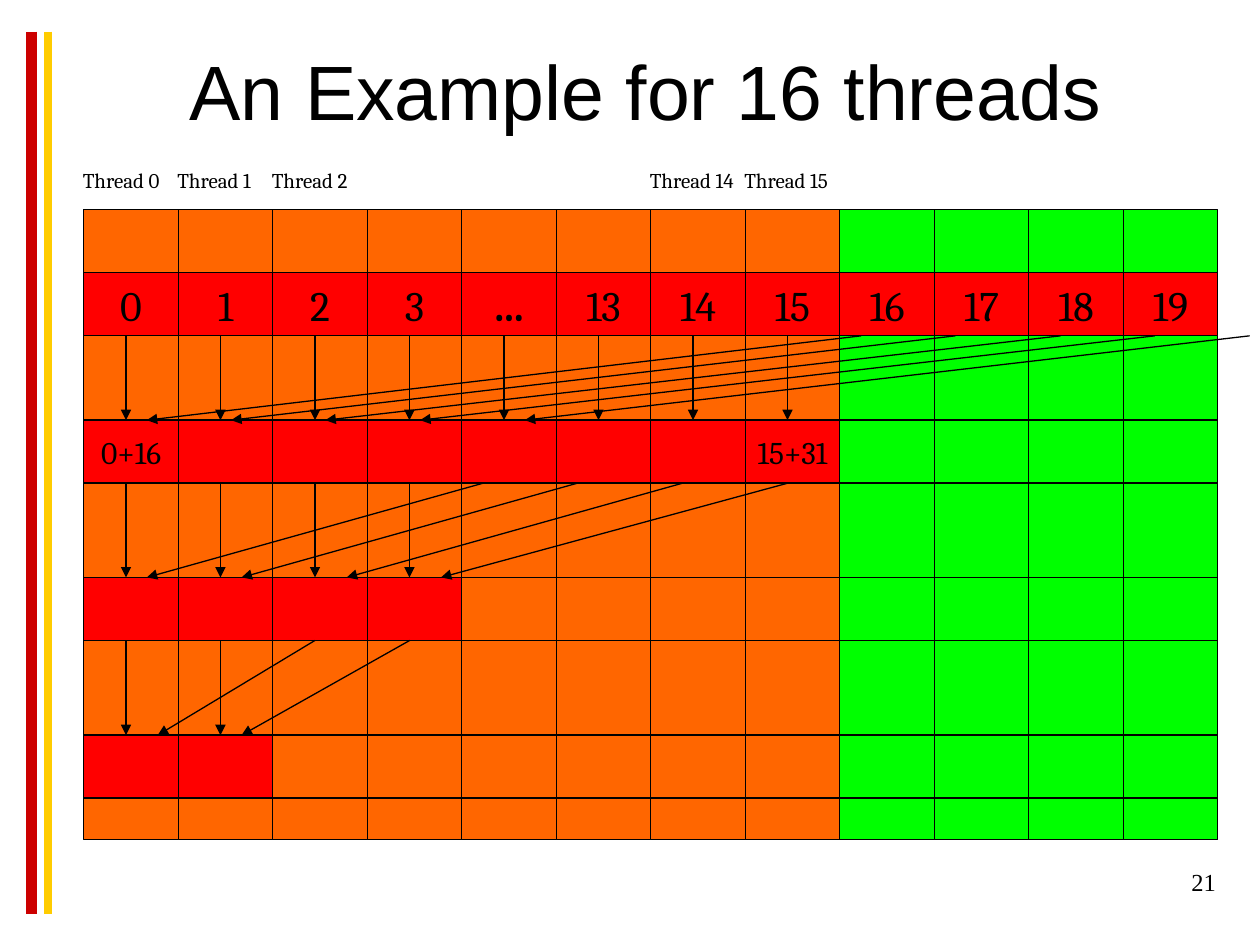
from lxml.etree import SubElement
from pptx import Presentation
from pptx.dml.color import RGBColor
from pptx.enum.shapes import MSO_CONNECTOR, MSO_SHAPE
from pptx.enum.text import MSO_ANCHOR, MSO_AUTO_SIZE, PP_ALIGN
from pptx.oxml.ns import qn
from pptx.util import Cm, Pt

BLACK = RGBColor(0x00, 0x00, 0x00)
RED = RGBColor(0xFF, 0x00, 0x00)
ORANGE = RGBColor(0xFF, 0x66, 0x00)
GREEN = RGBColor(0x00, 0xFF, 0x00)
DARK_RED = RGBColor(0xCC, 0x00, 0x00)
YELLOW = RGBColor(0xFF, 0xCC, 0x00)

COLUMNS = 12
THREAD_COLUMNS = 8
GRID_LEFT = 1.69
GRID_TOP = 4.23
GRID_HEIGHT = 12.7
COLUMN_WIDTH = 22.86 / COLUMNS
ROW_HEIGHT = 1.27
ARROW_INSET = 0.85

ROW_TOPS = [5.5, 8.47, 11.64, 14.82]
ROW_FILLED = [12, 8, 4, 2]
ROW_LABELS = [
    dict(enumerate(["0", "1", "2", "3", "…", "13", "14", "15", "16", "17", "18", "19"])),
    {0: "0+16", 7: "15+31"},
    {},
    {},
]
ROW_TEXT_SIZES = [24, 18, 18, 18]
DIAGONALS = [
    [(17.36, 2.96), (19.26, 4.66), (21.38, 6.56), (23.28, 8.47), (25.19, 10.58)],
    [(9.74, 2.96), (11.64, 4.87), (13.76, 6.99), (15.88, 8.89)],
    [(6.35, 3.18), (8.26, 4.87)],
]
THREADS = {0: "Thread 0", 1: "Thread 1", 2: "Thread 2", 6: "Thread 14", 7: "Thread 15"}


def column_left(column):
    return GRID_LEFT + column * COLUMN_WIDTH


def write_text(shape, text, *, size, font="Cambria", bold=False,
               align=PP_ALIGN.LEFT, anchor=MSO_ANCHOR.TOP, wrap=False):
    frame = shape.text_frame
    frame.word_wrap = wrap
    frame.vertical_anchor = anchor
    paragraph = frame.paragraphs[0]
    paragraph.alignment = align
    run = paragraph.add_run()
    run.text = text
    run.font.name = font
    run.font.size = Pt(size)
    run.font.bold = bold
    run.font.color.rgb = BLACK


def add_text_box(slide, text, left, top, width, height, **text_format):
    box = slide.shapes.add_textbox(Cm(left), Cm(top), Cm(width), Cm(height))
    write_text(box, text, **text_format)
    return box


def add_cell(slide, column, top, height, color=None):
    shape = slide.shapes.add_shape(
        MSO_SHAPE.RECTANGLE, Cm(column_left(column)), Cm(top), Cm(COLUMN_WIDTH), Cm(height))
    shape.shadow.inherit = False
    if color is None:
        shape.fill.background()
    else:
        shape.fill.solid()
        shape.fill.fore_color.rgb = color
    shape.line.color.rgb = BLACK
    shape.line.width = Pt(0.75)
    return shape


def add_line(slide, start, end, color=BLACK, width=0.75, arrow=False):
    line = slide.shapes.add_connector(
        MSO_CONNECTOR.STRAIGHT, Cm(start[0]), Cm(start[1]), Cm(end[0]), Cm(end[1]))
    line.line.color.rgb = color
    line.line.width = Pt(width)
    if arrow:
        SubElement(line.line._get_or_add_ln(), qn("a:tailEnd"), type="triangle")
    SubElement(line._element.spPr, qn("a:effectLst"))


def add_title(slide, text):
    title = slide.shapes.title
    title.left, title.top, title.width, title.height = Cm(1.27), Cm(0.64), Cm(23.5), Cm(2.33)
    write_text(title, text, size=44, font="Arial", align=PP_ALIGN.CENTER,
               anchor=MSO_ANCHOR.MIDDLE, wrap=True)


def add_columns(slide):
    for column in range(COLUMNS):
        color = ORANGE if column < THREAD_COLUMNS else GREEN
        add_cell(slide, column, GRID_TOP, GRID_HEIGHT, color)


def add_rows(slide):
    for top, filled, labels, size in zip(ROW_TOPS, ROW_FILLED, ROW_LABELS, ROW_TEXT_SIZES):
        for column in range(COLUMNS):
            cell = add_cell(slide, column, top, ROW_HEIGHT, RED if column < filled else None)
            if column in labels:
                label = labels[column]
                write_text(cell, label, size=size, bold=label == "…",
                           align=PP_ALIGN.CENTER, anchor=MSO_ANCHOR.MIDDLE)


def add_arrows(slide):
    for top, next_top, count, diagonals in zip(ROW_TOPS, ROW_TOPS[1:], ROW_FILLED[1:], DIAGONALS):
        verticals = [(column_left(column) + ARROW_INSET,) * 2 for column in range(count)]
        for start, end in verticals + diagonals:
            add_line(slide, (start, top + ROW_HEIGHT), (end, next_top), arrow=True)


def add_thread_labels(slide):
    for column, text in THREADS.items():
        width = 2.16 if len(text) == 8 else 2.39
        box = add_text_box(slide, text, column_left(column) - 0.27, 3.25, width, 0.76, size=12)
        box.text_frame.auto_size = MSO_AUTO_SIZE.SHAPE_TO_FIT_TEXT


def main():
    presentation = Presentation()
    presentation.slide_width = Cm(25.4)
    presentation.slide_height = Cm(19.05)
    slide = presentation.slides.add_slide(presentation.slide_layouts[5])

    add_line(slide, (0.64, 0.64), (0.64, 18.42), DARK_RED, 6)
    add_line(slide, (0.96, 0.64), (0.96, 18.42), YELLOW, 4.5)
    add_title(slide, "An Example for 16 threads")
    add_text_box(slide, "21", 19.48, 17.35, 5.28, 1.27, size=14,
                 font="Times New Roman", align=PP_ALIGN.RIGHT, wrap=True)
    add_columns(slide)
    add_rows(slide)
    add_arrows(slide)
    add_thread_labels(slide)

    presentation.save("out.pptx")


if __name__ == "__main__":
    main()
